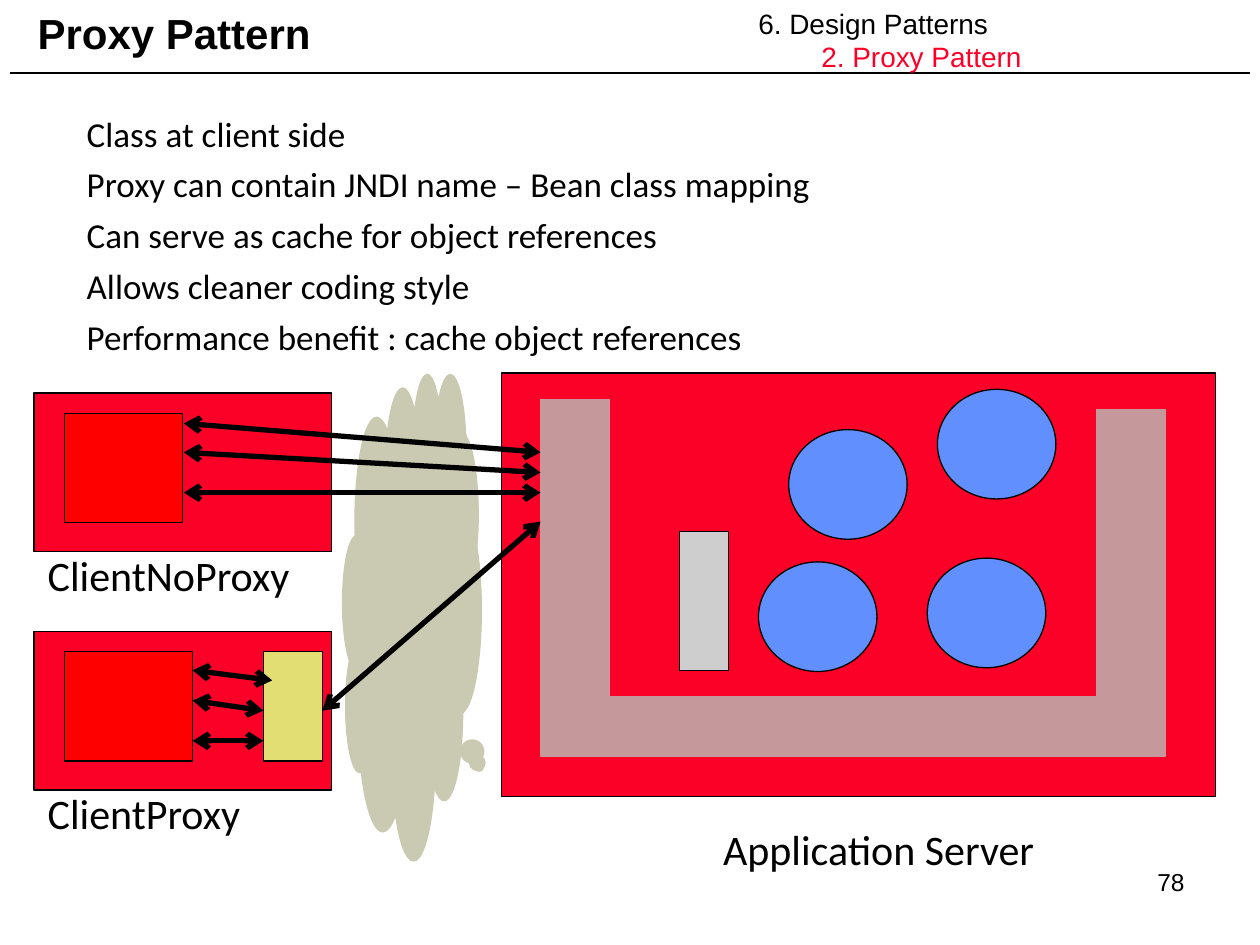
from pptx import Presentation
from pptx.dml.color import RGBColor
from pptx.enum.shapes import MSO_CONNECTOR, MSO_SHAPE as Preset
from pptx.enum.text import MSO_ANCHOR as Anchor, MSO_AUTO_SIZE as AutoSize, PP_ALIGN as Align
from pptx.oxml.ns import qn
from pptx.util import Inches, Pt
from lxml.etree import SubElement

BLACK = RGBColor(0x00, 0x00, 0x00)
CRIMSON = RGBColor(0xFC, 0x01, 0x28)
RED = RGBColor(0xFF, 0x00, 0x00)
STONE = RGBColor(0xCA, 0xCA, 0xB2)
ROSE = RGBColor(0xC5, 0x99, 0x9B)
SILVER = RGBColor(0xCE, 0xCE, 0xCE)
BLUE = RGBColor(0x61, 0x8F, 0xFD)
YELLOW = RGBColor(0xE3, 0xDE, 0x73)

TITLE_FONT = {"name": "Arial", "size": Pt(24), "bold": True}
HEADER_FONT = {"name": "Arial", "size": Pt(16)}
NUMBER_FONT = {"name": "Arial", "size": Pt(14)}
BODY_FONT = {"name": "Calibri", "size": Pt(20)}
LABEL_FONT = {"name": "Calibri", "size": Pt(24)}

BENEFITS = [
    "Class at client side",
    "Proxy can contain JNDI name – Bean class mapping",
    "Can serve as cache for object references",
    "Allows cleaner coding style",
    "Performance benefit : cache object references",
]


def set_all(target, values):
    for name, value in values.items():
        setattr(target, name, value)


def add_text(slide, box, lines, font, frame_format=None, paragraph_format=None):
    frame = slide.shapes.add_textbox(*map(Inches, box)).text_frame
    set_all(frame, {"word_wrap": True, **(frame_format or {})})
    for number, line in enumerate(lines):
        paragraph = frame.add_paragraph() if number else frame.paragraphs[0]
        set_all(paragraph, paragraph_format or {})
        if number == 0:
            paragraph.space_before = Pt(0)
        run = paragraph.add_run()
        run.text = line
        set_all(run.font, font)
        run.font.color.rgb = BLACK
    return frame


def set_hanging(paragraph, left, hang):
    properties = paragraph._p.get_or_add_pPr()
    properties.set("marL", str(Inches(left)))
    properties.set("indent", str(-Inches(hang)))


def add_block(slide, preset, box, fill, outline=BLACK):
    block = slide.shapes.add_shape(preset, *map(Inches, box))
    block.shadow.inherit = False
    block.fill.solid()
    block.fill.fore_color.rgb = fill
    block.line.color.rgb = outline
    block.line.width = Pt(0.75)
    return block


def add_line(slide, start, end, width, arrows=False):
    line = slide.shapes.add_connector(
        MSO_CONNECTOR.STRAIGHT, *map(Inches, (*start, *end)))
    line.line.color.rgb = BLACK
    line.line.width = Pt(width)
    if arrows:
        outline = line.line._get_or_add_ln()
        for tag in ("a:headEnd", "a:tailEnd"):
            SubElement(outline, qn(tag)).set("type", "arrow")
    SubElement(line._element.spPr, qn("a:effectLst"))


def add_label(slide, left, top, width, text):
    add_text(slide, (left, top, width, 0.5), [text], LABEL_FONT,
             {"word_wrap": False, "auto_size": AutoSize.SHAPE_TO_FIT_TEXT})


def add_texts(slide):
    add_line(slide, (0.08, 0.58), (9.92, 0.58), 1)
    add_text(slide, (7.17, 6.83, 2.33, 0.52), ["78"], NUMBER_FONT,
             paragraph_format={"alignment": Align.RIGHT})
    add_text(slide, (0.2, 0, 5.88, 0.52), ["Proxy Pattern"], TITLE_FONT,
             {"vertical_anchor": Anchor.MIDDLE})
    body = add_text(slide, (0.59, 0.84, 8.83, 2.05), BENEFITS, BODY_FONT,
                    paragraph_format={"space_before": Pt(5)})
    for benefit in body.paragraphs:
        set_hanging(benefit, 0.38, 0.38)

    header = add_text(slide, (5.92, 0, 3.29, 0.64),
                      ["6. Design Patterns", "2. Proxy Pattern"], HEADER_FONT,
                      {"auto_size": AutoSize.SHAPE_TO_FIT_TEXT})
    chapter, section = header.paragraphs
    set_hanging(chapter, 0.5, 0.5)
    section.level = 1
    set_hanging(section, 1, 0.5)
    section.runs[0].font.color.rgb = CRIMSON


def add_server(slide):
    add_block(slide, Preset.RECTANGLE, (3.98, 2.96, 5.67, 3.36), CRIMSON)
    add_label(slide, 5.64, 6.49, 2.67, "Application Server")
    add_block(slide, Preset.RECTANGLE, (5.39, 4.22, 0.39, 1.1), SILVER)
    for wall in [(4.29, 5.53, 4.96, 0.47), (4.29, 3.17, 0.55, 2.36), (8.7, 3.25, 0.55, 2.36)]:
        add_block(slide, Preset.RECTANGLE, wall, ROSE, ROSE)
    for left, top in [(6.26, 3.41), (7.36, 4.43), (6.02, 4.46), (7.44, 3.09)]:
        add_block(slide, Preset.OVAL, (left, top, 0.94, 0.87), BLUE)


def add_client(slide, top, name, name_width, core_width):
    add_block(slide, Preset.RECTANGLE, (0.27, top, 2.36, 1.26), CRIMSON)
    add_label(slide, 0.28, top + 1.19, name_width, name)
    add_block(slide, Preset.RECTANGLE, (0.51, top + 0.16, core_width, 0.87), RED)


def add_calls(slide):
    calls = [
        ((1.46, 3.59), (4.29, 3.75)),
        ((1.46, 3.91), (4.29, 3.91)),
        ((1.46, 3.36), (4.29, 3.59)),
        ((1.53, 5.56), (2.09, 5.64)),
        ((1.53, 5.88), (2.09, 5.88)),
        ((1.53, 5.32), (2.16, 5.4)),
        ((2.56, 5.64), (4.29, 4.14)),
    ]
    for start, end in calls:
        add_line(slide, start, end, 3, arrows=True)


def main():
    deck = Presentation()
    deck.slide_width, deck.slide_height = Inches(10), Inches(7.5)
    slide = deck.slides.add_slide(deck.slide_layouts[6])
    add_texts(slide)
    network = add_block(slide, Preset.CLOUD_CALLOUT, (2.72, 2.96, 1.1, 3.86), STONE, STONE)
    network.adjustments[0], network.adjustments[1] = 0.486, 0.311
    add_server(slide)
    add_client(slide, 3.12, "ClientNoProxy", 2.13, 0.94)
    add_client(slide, 5.01, "ClientProxy", 1.74, 1.02)
    add_block(slide, Preset.RECTANGLE, (2.09, 5.17, 0.47, 0.87), YELLOW)
    add_calls(slide)
    deck.save("out.pptx")


if __name__ == "__main__":
    main()
